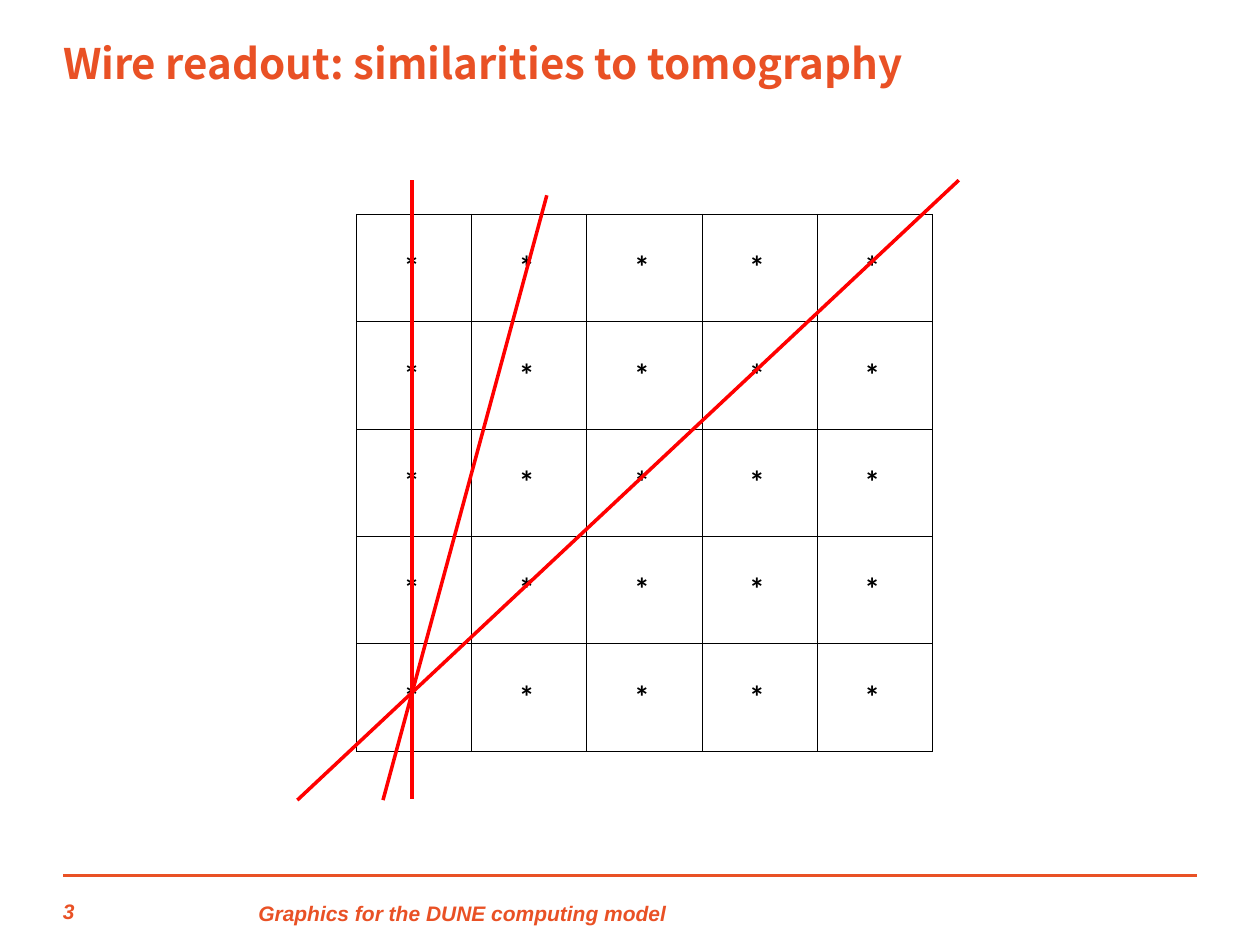
from lxml.etree import SubElement
from pptx import Presentation
from pptx.dml.color import RGBColor
from pptx.enum.shapes import MSO_CONNECTOR
from pptx.enum.text import MSO_ANCHOR, MSO_AUTO_SIZE, PP_ALIGN
from pptx.oxml import parse_xml
from pptx.oxml.ns import nsdecls, qn
from pptx.util import Inches, Pt

# Content
TITLE = "Wire readout: similarities to tomography"
FOOTERS = [  # text, (left, top, width, height)
    ("Graphics for the DUNE computing model", (2.05, 7.16, 5.35, 0.19)),
    ("3", (0.5, 7.16, 0.47, 0.17)),
]
MARK = "*"
WIRES = [  # from, to
    ((2.36, 6.35), (7.61, 1.43)),
    ((3.04, 6.35), (4.34, 1.55)),
    ((3.27, 6.34), (3.27, 1.43)),
]
ORANGE, RED, BLACK, WHITE = "E95125", "FF0000", "000000", "FFFFFF"

# Layout
W, H, MARGIN = 10, 7.5, 0.5
GRID_N = 5
GRID_X, GRID_Y, GRID_W, GRID_H = 2.83, 1.7, 4.57, 4.26


def rgb(color):
    return RGBColor.from_string(color)


def add_run(p, text, font, size, color, italic=False):
    r = p.add_run()
    r.text = text
    r.font.name, r.font.size = font, Pt(size)
    r.font.bold, r.font.italic = True, italic
    r.font.color.rgb = rgb(color)
    rpr = r.font._element
    for tag in ("a:ea", "a:cs"):
        SubElement(rpr, qn(tag)).set("typeface", font)


def set_frame(tf, anchor):
    tf.margin_left = tf.margin_right = tf.margin_top = tf.margin_bottom = 0
    tf.word_wrap = True
    tf.auto_size = MSO_AUTO_SIZE.NONE
    tf.vertical_anchor = anchor


def add_line(slide, start, end, color):
    ends = [Inches(v) for v in (*start, *end)]
    line = slide.shapes.add_connector(MSO_CONNECTOR.STRAIGHT, *ends)
    line.line.color.rgb = rgb(color)
    line.line.width = Pt(2)
    SubElement(line._element.spPr, qn("a:effectLst"))


def style_cell(cell):
    cell.vertical_anchor = MSO_ANCHOR.MIDDLE
    cell.margin_left, cell.margin_right = Inches(0.1), Inches(0.14)
    cell.fill.solid()
    cell.fill.fore_color.rgb = rgb(WHITE)
    tcpr = cell._tc.get_or_add_tcPr()
    SubElement(tcpr.find(".//" + qn("a:srgbClr")), qn("a:alpha")).set("val", "50000")
    for i, side in enumerate(("lnL", "lnR", "lnT", "lnB")):
        tcpr.insert(i, parse_xml(
            f'<a:{side} {nsdecls("a")} w="{Pt(0.45)}"><a:solidFill>'
            f'<a:srgbClr val="{BLACK}"/></a:solidFill></a:{side}>'))


prs = Presentation()
prs.slide_width, prs.slide_height = Inches(W), Inches(H)
slide = prs.slides.add_slide(prs.slide_layouts[5])

# Title
title = slide.shapes.title
title.left, title.top = Inches(MARGIN), Inches(0.3)
title.width, title.height = Inches(W - 2 * MARGIN), Inches(0.71)
set_frame(title.text_frame, MSO_ANCHOR.TOP)
p = title.text_frame.paragraphs[0]
p.alignment = PP_ALIGN.LEFT
add_run(p, TITLE, "Noto Sans CJK KR", 24, ORANGE)

# Footer rule and texts
add_line(slide, (MARGIN, 6.95), (W - MARGIN, 6.95), ORANGE)
for text, box in FOOTERS:
    tf = slide.shapes.add_textbox(*map(Inches, box)).text_frame
    set_frame(tf, MSO_ANCHOR.BOTTOM)
    add_run(tf.paragraphs[0], text, "Arial", 12, ORANGE, italic=True)

# Pixel grid
frame = slide.shapes.add_table(
    GRID_N, GRID_N, *map(Inches, (GRID_X, GRID_Y, GRID_W, GRID_H)))
table = frame.table
table.first_row = table.horz_banding = False
for cell in table.iter_cells():
    style_cell(cell)
    p = cell.text_frame.paragraphs[0]
    p.alignment = PP_ALIGN.CENTER
    p.space_before = Pt(4.5)
    add_run(p, MARK, "Calibri", 18, BLACK)

# Wires across the grid
for start, end in WIRES:
    add_line(slide, start, end, RED)

prs.save("out.pptx")
